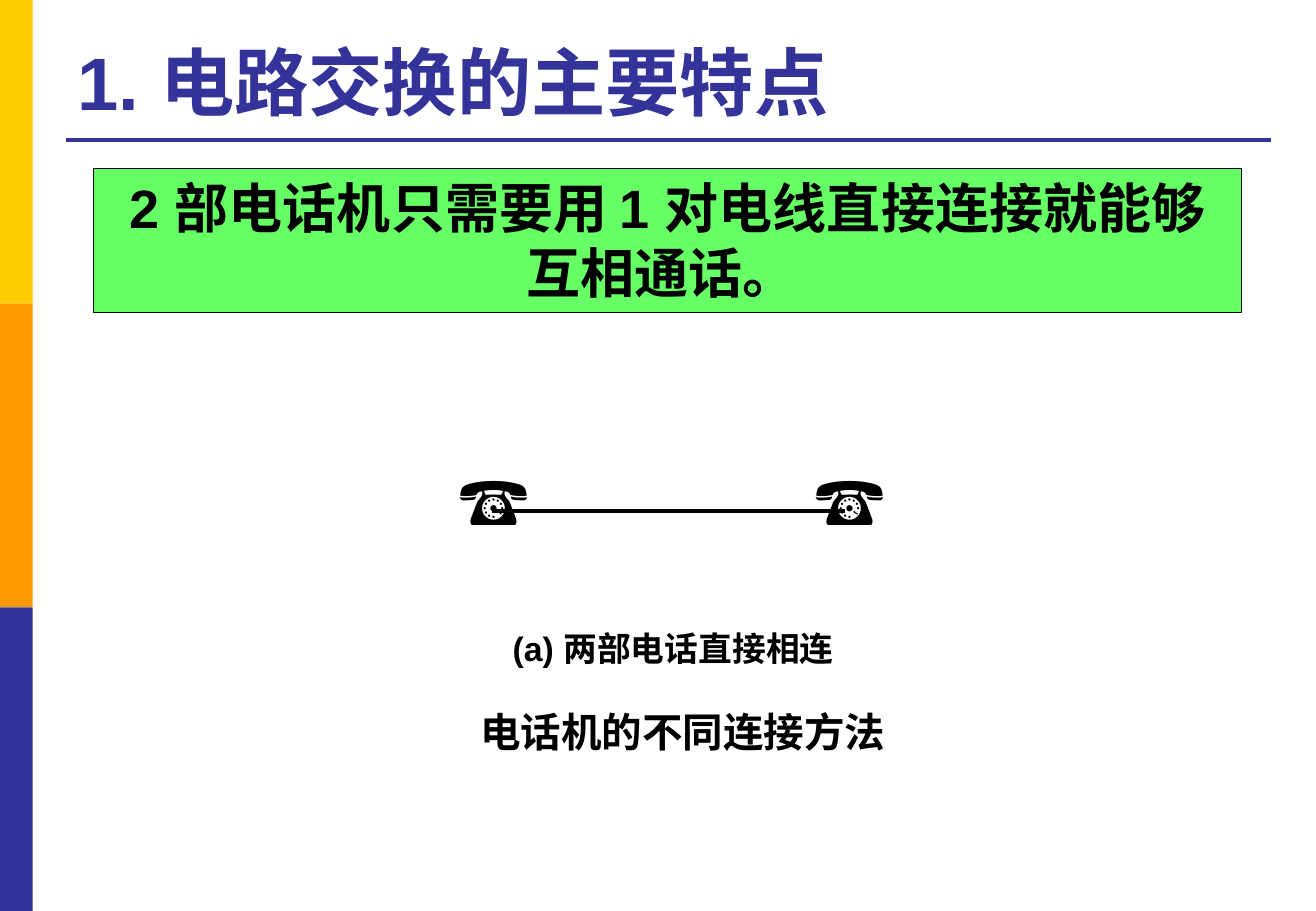
import pptx
import pptx.util
import pptx.dml.color
import pptx.enum.shapes
import pptx.enum.text
import pptx.oxml.ns
import lxml.etree

Inches = pptx.util.Inches
Pt = pptx.util.Pt
RGBColor = pptx.dml.color.RGBColor
Align = pptx.enum.text.PP_ALIGN
Anchor = pptx.enum.text.MSO_ANCHOR

GOLD = RGBColor(0xFF, 0xCC, 0x00)
ORANGE = RGBColor(0xFF, 0x99, 0x00)
NAVY = RGBColor(0x33, 0x33, 0x99)
GREEN = RGBColor(0x66, 0xFF, 0x66)
BLACK = RGBColor(0, 0, 0)


class Board:
    """Holds the style and the current slide."""
    font = "Arial"
    rule = 2.25

    def __init__(self, slide):
        self.shapes = slide.shapes

    def label(self, shape, text, size, color=BLACK, font=None, bold=True,
              align=Align.CENTER, anchor=Anchor.TOP, wrap=True):
        frame = shape.text_frame
        frame.word_wrap = wrap
        frame.vertical_anchor = anchor
        para = frame.paragraphs[0]
        para.text = text
        para.alignment = align
        para.font.name = font or self.font
        para.font.size = Pt(size)
        para.font.bold = bold
        para.font.color.rgb = color

    def text(self, x, y, w, h, text, size, **style):
        box = self.shapes.add_textbox(Inches(x), Inches(y), Inches(w), Inches(h))
        self.label(box, text, size, **style)

    def rect(self, x, y, w, h, fill, edge=None):
        kind = pptx.enum.shapes.MSO_SHAPE.RECTANGLE
        shape = self.shapes.add_shape(kind, Inches(x), Inches(y), Inches(w), Inches(h))
        shape.shadow.inherit = False
        shape.fill.solid()
        shape.fill.fore_color.rgb = fill
        if edge is None:
            shape.line.fill.background()
        else:
            shape.line.color.rgb = edge
            shape.line.width = Pt(0.75)
        return shape

    def line(self, x1, x2, y, color):
        kind = pptx.enum.shapes.MSO_CONNECTOR.STRAIGHT
        line = self.shapes.add_connector(kind, Inches(x1), Inches(y), Inches(x2), Inches(y))
        line.line.color.rgb = color
        line.line.width = Pt(self.rule)
        props = line._element.spPr
        lxml.etree.SubElement(props, pptx.oxml.ns.qn("a:effectLst"))


def main():
    deck = pptx.Presentation()
    deck.slide_width = Inches(10.83)
    deck.slide_height = Inches(7.5)
    board = Board(deck.slides.add_slide(deck.slide_layouts[6]))

    # Side bands
    for i, color in enumerate((GOLD, ORANGE, NAVY)):
        board.rect(0, 2.5 * i, 0.27, 2.5, color)

    # Title and rule
    board.line(0.54, 10.46, 1.15, NAVY)
    board.text(0.54, 0.21, 9.91, 0.87, "1. 电路交换的主要特点", 44,
               color=NAVY, align=Align.LEFT, anchor=Anchor.BOTTOM)

    # Two phones joined by a wire
    for x in (3.68, 6.61):
        board.text(x, 3.72, 0.95, 0.77, "☎", 40, font="Times New Roman",
                   bold=False, align=Align.LEFT, wrap=False)
    board.line(4.05, 6.95, 4.21, BLACK)

    # Key statement
    panel = board.rect(0.77, 1.39, 9.45, 1.18, GREEN, BLACK)
    board.label(panel, "2 部电话机只需要用 1 对电线直接连接就能够互相通话。 ", 32)

    # Captions
    board.text(3.8, 5.12, 3.48, 0.44, "(a) 两部电话直接相连", 20)
    board.text(2.35, 5.77, 6.54, 0.5, "电话机的不同连接方法", 24)

    deck.save("out.pptx")


if __name__ == "__main__":
    main()
